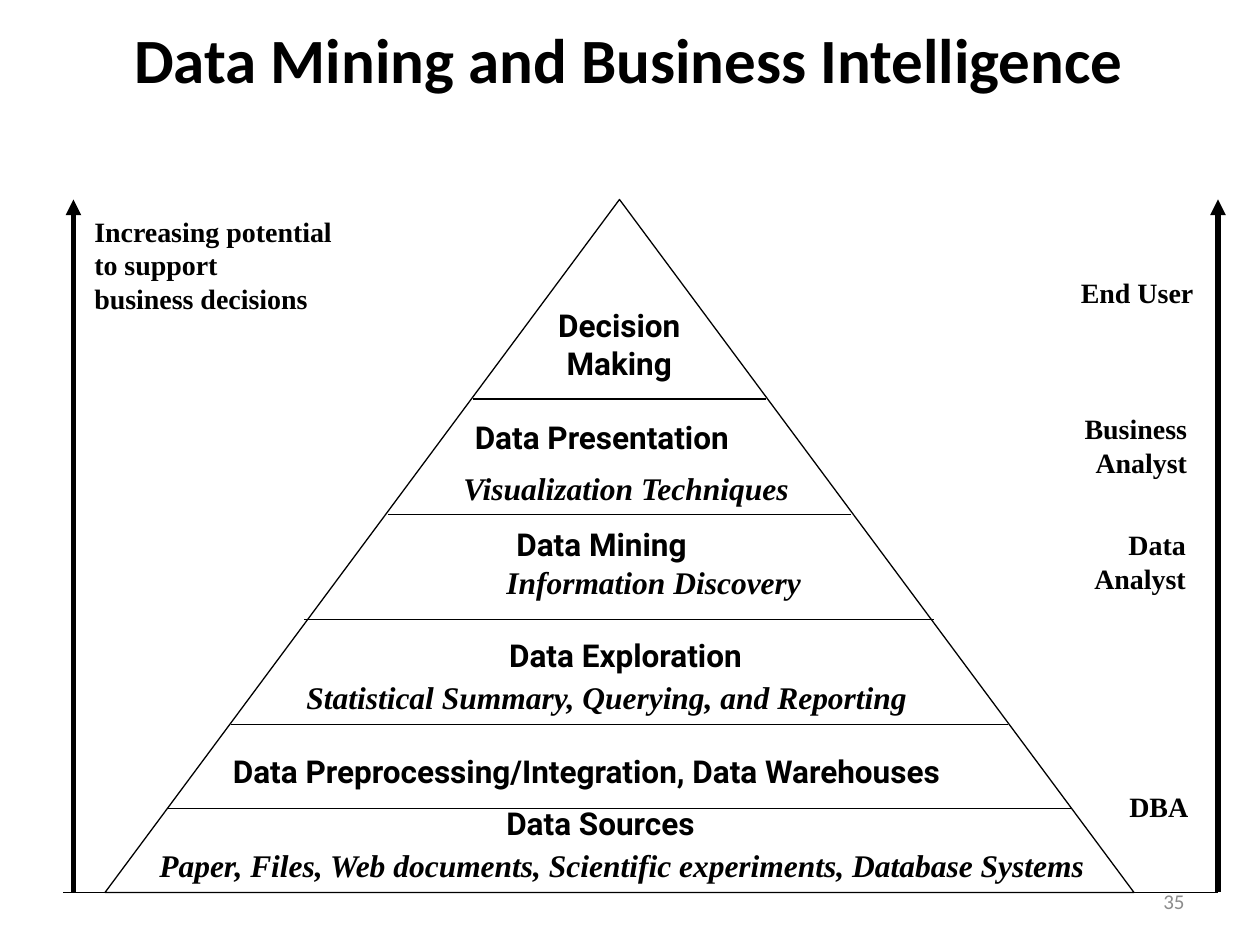
from pptx import Presentation
from pptx.dml.color import RGBColor
from pptx.enum.shapes import MSO_CONNECTOR, MSO_SHAPE
from pptx.enum.text import MSO_ANCHOR, MSO_AUTO_SIZE, PP_ALIGN
from pptx.oxml.ns import qn
from pptx.util import Pt
from lxml.etree import SubElement

LEFT, MID, RIGHT = PP_ALIGN.LEFT, PP_ALIGN.CENTER, PP_ALIGN.RIGHT
BLACK, GREY = "000000", "8C8C8C"
TITLE = {"name": "Calibri", "size": Pt(36), "bold": True}
HEAD = {"name": "Roboto", "size": Pt(18), "bold": True}
NOTE = {"name": "Times New Roman", "size": Pt(18), "bold": True, "italic": True}
ROLE = {"name": "Times New Roman", "size": Pt(16), "bold": True}
PAGE = {"name": "Calibri", "size": Pt(12)}

APEX, BASE, AXIS, HALF, GRID = 114, 510, 354, 294, 6
LEVELS = (462, 414, 354, 294, 228)

ROLES = (
    (("Increasing potential", "to support", "business decisions"),
     (46.8, 118.8, 151.2, 64.8), LEFT),
    (("End User",), (609.84, 154.08, 79.2, 26.64), RIGHT),
    (("Business", "Analyst"), (610.56, 231.84, 74.88, 46.08), RIGHT),
    (("Data", "Analyst"), (617.04, 298.08, 67.68, 46.08), RIGHT),
    (("DBA",), (637.92, 447.84, 48.24, 26.64), RIGHT),
)
STEPS = (
    ("Decision Making", HEAD, (306, 171.36, 95.76, 50.4), MID, True),
    ("Data Presentation", HEAD, (264.24, 235.44, 177.84, 28.8), LEFT, False),
    ("Visualization Techniques", NOTE, (257.76, 264.24, 203.04, 28.8), LEFT, False),
    ("Data Mining", HEAD, (288, 296.64, 140.4, 28.8), LEFT, True),
    ("Information Discovery", NOTE, (282.24, 318.24, 182.88, 28.8), LEFT, False),
    ("Data Exploration", HEAD, (264.96, 360, 185.04, 28.8), MID, True),
    ("Statistical Summary, Querying, and Reporting", NOTE,
     (168, 384, 360, 28.8), LEFT, True),
    ("Data Preprocessing/Integration, Data Warehouses", HEAD,
     (126, 426, 474.48, 28.8), LEFT, False),
    ("Data Sources", HEAD, (282.24, 456, 133.92, 28.8), LEFT, False),
    ("Paper, Files, Web documents, Scientific experiments, Database Systems", NOTE,
     (84, 480, 560.16, 28.8), LEFT, True),
)


def tint(code):
    return RGBColor.from_string(code)


class Board:
    """Draws styled elements on the current slide."""

    def __init__(self, deck, ink):
        self.ink = ink
        self.slide = deck.slides.add_slide(deck.slide_layouts[6])

    def text(self, lines, style, box, align=LEFT, wrap=False, grow=True, ink=None):
        frame = self.slide.shapes.add_textbox(*map(Pt, box)).text_frame
        form = {
            "word_wrap": wrap,
            "auto_size": MSO_AUTO_SIZE.SHAPE_TO_FIT_TEXT if grow else MSO_AUTO_SIZE.NONE,
            "vertical_anchor": MSO_ANCHOR.TOP if grow else MSO_ANCHOR.MIDDLE,
            "text": "\n".join(lines),
        }
        for key, value in form.items():
            setattr(frame, key, value)
        for para in frame.paragraphs:
            para.alignment = align
            font = para.runs[0].font
            font.color.rgb = tint(ink or self.ink)
            for key, value in style.items():
                setattr(font, key, value)

    def line(self, *ends, width=0.75, arrow=False):
        link = self.slide.shapes.add_connector(MSO_CONNECTOR.STRAIGHT, *map(Pt, ends))
        link.line.width = Pt(width)
        link.line.color.rgb = tint(self.ink)
        if arrow:
            SubElement(link.line._get_or_add_ln(), qn("a:tailEnd"), type="triangle")
        SubElement(link._element.spPr, qn("a:effectLst"))

    def peak(self, *box):
        shape = self.slide.shapes.add_shape(MSO_SHAPE.FLOWCHART_EXTRACT, *map(Pt, box))
        shape.shadow.inherit = False
        shape.fill.background()
        shape.line.width = Pt(0.75)
        shape.line.color.rgb = tint(self.ink)


def main():
    deck = Presentation()
    deck.slide_width, deck.slide_height = Pt(720), Pt(540)
    board = Board(deck, BLACK)
    board.text(["Data Mining and Business Intelligence"], TITLE,
               (17.28, 12.24, 684, 41.76), MID, wrap=True, grow=False)
    board.peak(AXIS - HALF, APEX, 2 * HALF, BASE - APEX)
    for y in LEVELS:
        reach = GRID * round(HALF * (y - APEX) / (BASE - APEX) / GRID)
        board.line(AXIS - reach, y, AXIS + reach, y)
    for x in (42, 696):
        board.line(x, BASE, x, APEX, width=3, arrow=True)
    for lines, box, align in ROLES:
        board.text(lines, ROLE, box, align)
    for words, style, box, align, wrap in STEPS:
        board.text([words], style, box, align, wrap)
    board.line(36, BASE, 696, BASE)
    board.text(["35"], PAGE, (516, 500.4, 168, 28.8), RIGHT,
               wrap=True, grow=False, ink=GREY)
    deck.save("out.pptx")


if __name__ == "__main__":
    main()
